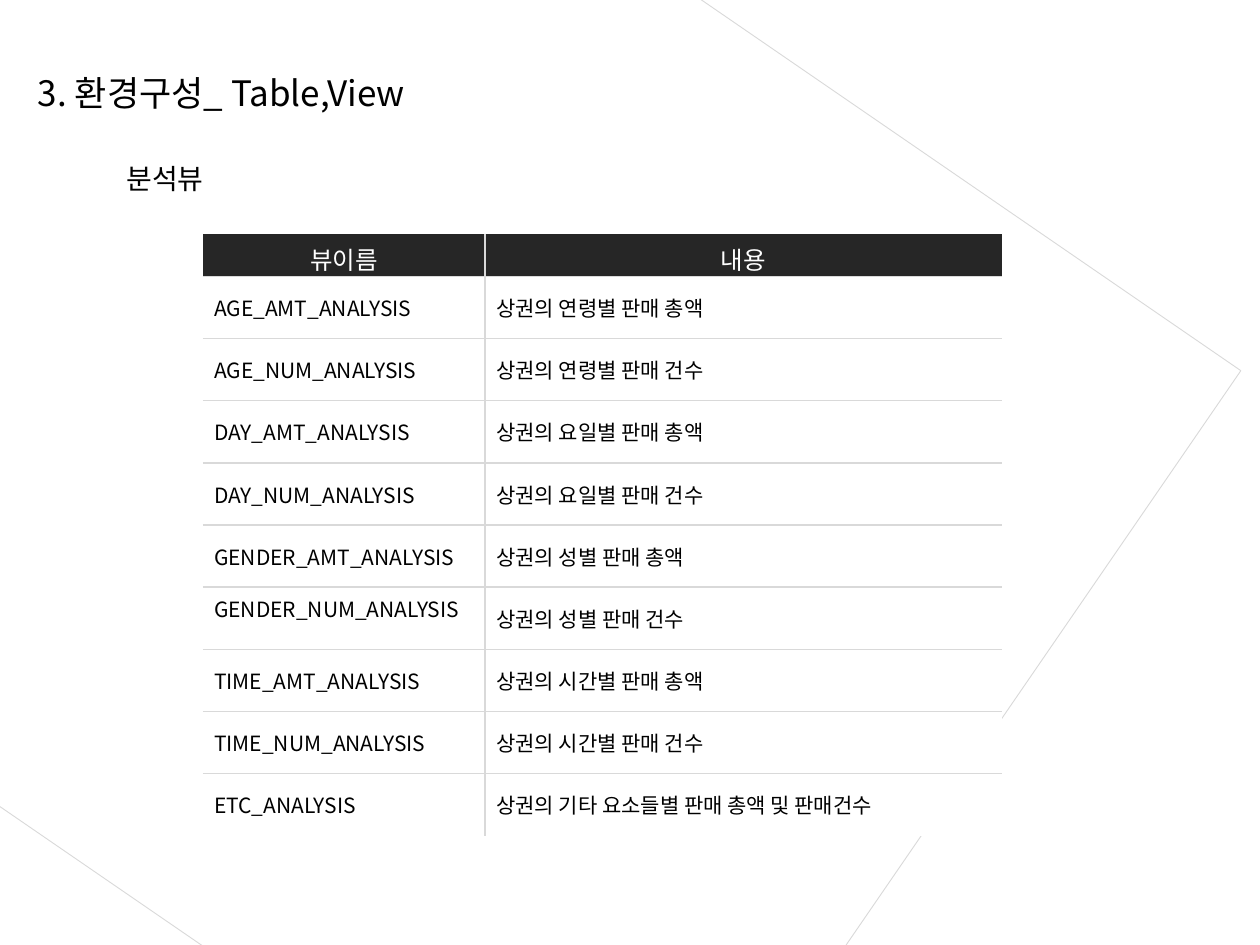
from dataclasses import dataclass
from typing import NamedTuple

from lxml.etree import SubElement
from pptx import Presentation
from pptx.dml.color import RGBColor
from pptx.enum.shapes import MSO_SHAPE as Shape
from pptx.enum.text import MSO_ANCHOR as Anchor, PP_ALIGN as Align
from pptx.oxml.ns import qn
from pptx.util import Inches, Pt


@dataclass(frozen=True)
class Theme:
    font: str = "Noto Sans CJK KR"
    ink: str = "000000"
    paper: str = "FFFFFF"
    header: str = "262626"
    rule: str = "D9D9D9"
    title_size: int = 20
    subtitle_size: int = 16
    header_size: int = 14
    body_size: int = 12


class Area(NamedTuple):
    left: float
    top: float
    width: float
    height: float

    def lengths(self) -> tuple:
        return tuple(Inches(value) for value in self)


class View(NamedTuple):
    name: str
    content: str
    raised: bool = False


THEME = Theme()
PAGE_WIDTH, PAGE_HEIGHT = 10, 7.5
TITLE_AREA = Area(0.2, 0.52, 4.88, 0.44)
SUBTITLE_AREA = Area(0.64, 1.23, 1.34, 0.37)
FRAME_AREA = Area(-4.04, -1.37, 12.61, 8.43)
TABLE_AREA = Area(1.61, 1.86, 6.34, 4.77)
NAME_WIDTH = 2.24
HEADER_HEIGHT = 0.33

HEADINGS = ("뷰이름", "내용")
VIEWS = (
    View("AGE_AMT_ANALYSIS", "상권의 연령별 판매 총액"),
    View("AGE_NUM_ANALYSIS", "상권의 연령별 판매 건수"),
    View("DAY_AMT_ANALYSIS", "상권의 요일별 판매 총액"),
    View("DAY_NUM_ANALYSIS", "상권의 요일별 판매 건수"),
    View("GENDER_AMT_ANALYSIS", "상권의 성별 판매 총액"),
    View("GENDER_NUM_ANALYSIS", "상권의 성별 판매 건수", raised=True),
    View("TIME_AMT_ANALYSIS", "상권의 시간별 판매 총액"),
    View("TIME_NUM_ANALYSIS", "상권의 시간별 판매 건수"),
    View("ETC_ANALYSIS", "상권의 기타 요소들별 판매 총액 및 판매건수"),
)


def color(value: str) -> RGBColor:
    return RGBColor.from_string(value)


def write(frame, text: str, size: int, ink: str, align=Align.LEFT) -> None:
    para = frame.paragraphs[0]
    para.alignment = align
    span = para.add_run()
    span.text = text
    span.font.size = Pt(size)
    span.font.name = THEME.font
    span.font.color.rgb = color(ink)
    # East Asian letters take their own font entry
    SubElement(span._r.get_or_add_rPr(), qn("a:ea"), typeface=THEME.font)


def place(box, area: Area) -> None:
    box.left, box.top, box.width, box.height = area.lengths()
    box.text_frame.word_wrap = True
    box.text_frame.vertical_anchor = Anchor.TOP


def draw_frame(page) -> None:
    frame = page.shapes.add_shape(Shape.RECTANGLE, *FRAME_AREA.lengths())
    frame.rotation = 34.5
    frame.shadow.inherit = False
    frame.fill.solid()
    frame.fill.fore_color.rgb = color(THEME.paper)
    frame.line.color.rgb = color(THEME.rule)
    frame.line.width = Pt(0.5)
    # Behind the title
    page.shapes._spTree.insert(2, frame._element)


def set_borders(cell, ruled: dict[str, bool]) -> None:
    properties = cell._tc.get_or_add_tcPr()
    for index, (side, visible) in enumerate(ruled.items()):
        line = SubElement(properties, qn(f"a:ln{side}"), w=str(Pt(1)))
        if visible:
            fill = SubElement(line, qn("a:solidFill"))
            SubElement(fill, qn("a:srgbClr"), val=THEME.rule)
        else:
            SubElement(line, qn("a:noFill"))
        # Borders come before the cell's fill
        properties.insert(index, line)


def draw_table(page) -> None:
    rows = [HEADINGS] + [(view.name, view.content) for view in VIEWS]
    table = page.shapes.add_table(
        len(rows), len(HEADINGS), *TABLE_AREA.lengths()).table
    table.horz_banding = False
    table.columns[0].width = Inches(NAME_WIDTH)
    table.columns[1].width = Inches(TABLE_AREA.width - NAME_WIDTH)
    body_height = (TABLE_AREA.height - HEADER_HEIGHT) / len(VIEWS)

    for row, texts in enumerate(rows):
        heading = row == 0
        table.rows[row].height = Inches(HEADER_HEIGHT if heading else body_height)
        for column, text in enumerate(texts):
            cell = table.cell(row, column)
            cell.vertical_anchor = Anchor.MIDDLE
            cell.margin_left = cell.margin_right = Inches(0.09)
            cell.margin_top = cell.margin_bottom = Inches(0.05)
            cell.fill.solid()
            cell.fill.fore_color.rgb = color(THEME.header if heading else THEME.paper)
            set_borders(cell, {"L": column > 0, "R": column < len(texts) - 1,
                               "T": row > 0, "B": row < len(rows) - 1})
            if heading:
                write(cell.text_frame, text, THEME.header_size, THEME.paper, Align.CENTER)
            else:
                write(cell.text_frame, text, THEME.body_size, THEME.ink)

    # Names that sit above the middle of their row
    for row, view in enumerate(VIEWS, start=1):
        if view.raised:
            cell = table.cell(row, 0)
            cell.margin_top, cell.margin_bottom = Inches(0.03), Inches(0.19)


def main() -> None:
    deck = Presentation()
    deck.slide_width, deck.slide_height = Inches(PAGE_WIDTH), Inches(PAGE_HEIGHT)
    page = deck.slides.add_slide(deck.slide_layouts[5])

    # Background outline
    draw_frame(page)

    # Title and subtitle
    title = page.shapes.title
    place(title, TITLE_AREA)
    write(title.text_frame, "3. 환경구성_ Table,View", THEME.title_size, THEME.ink)
    subtitle = page.shapes.add_textbox(*SUBTITLE_AREA.lengths())
    place(subtitle, SUBTITLE_AREA)
    write(subtitle.text_frame, "분석뷰", THEME.subtitle_size, THEME.ink, Align.CENTER)

    # Table of analysis views
    draw_table(page)
    deck.save("out.pptx")


if __name__ == "__main__":
    main()
